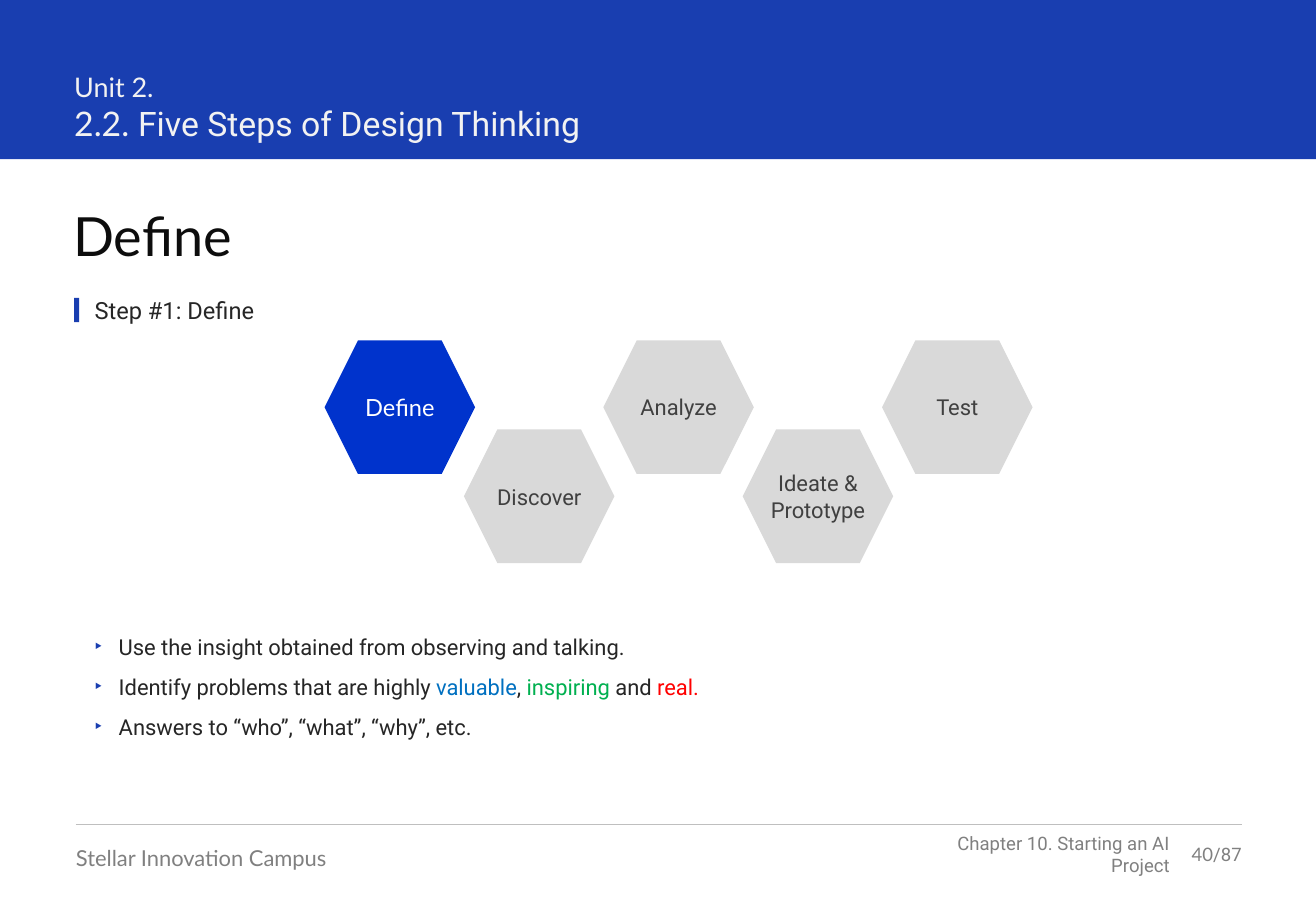
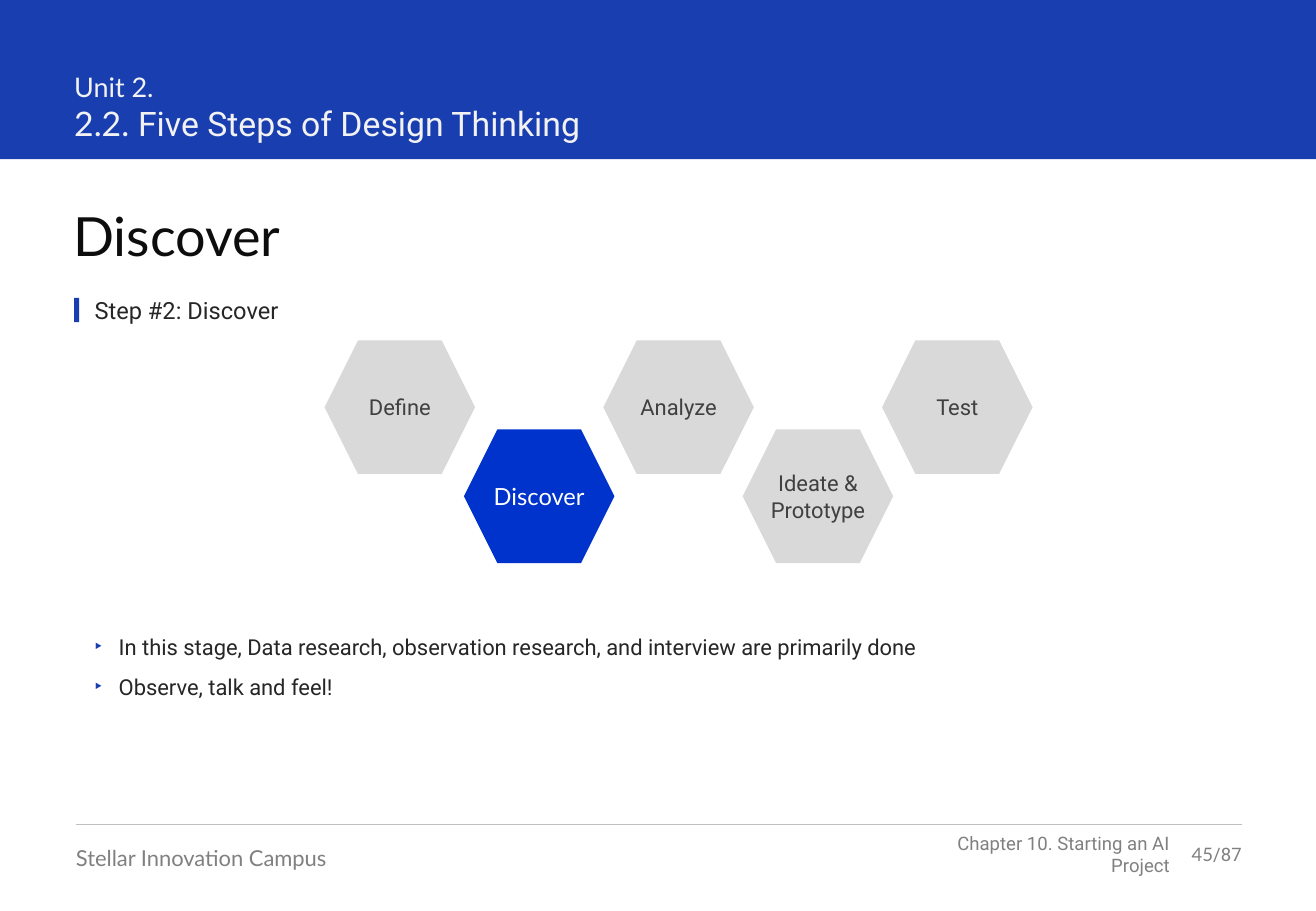
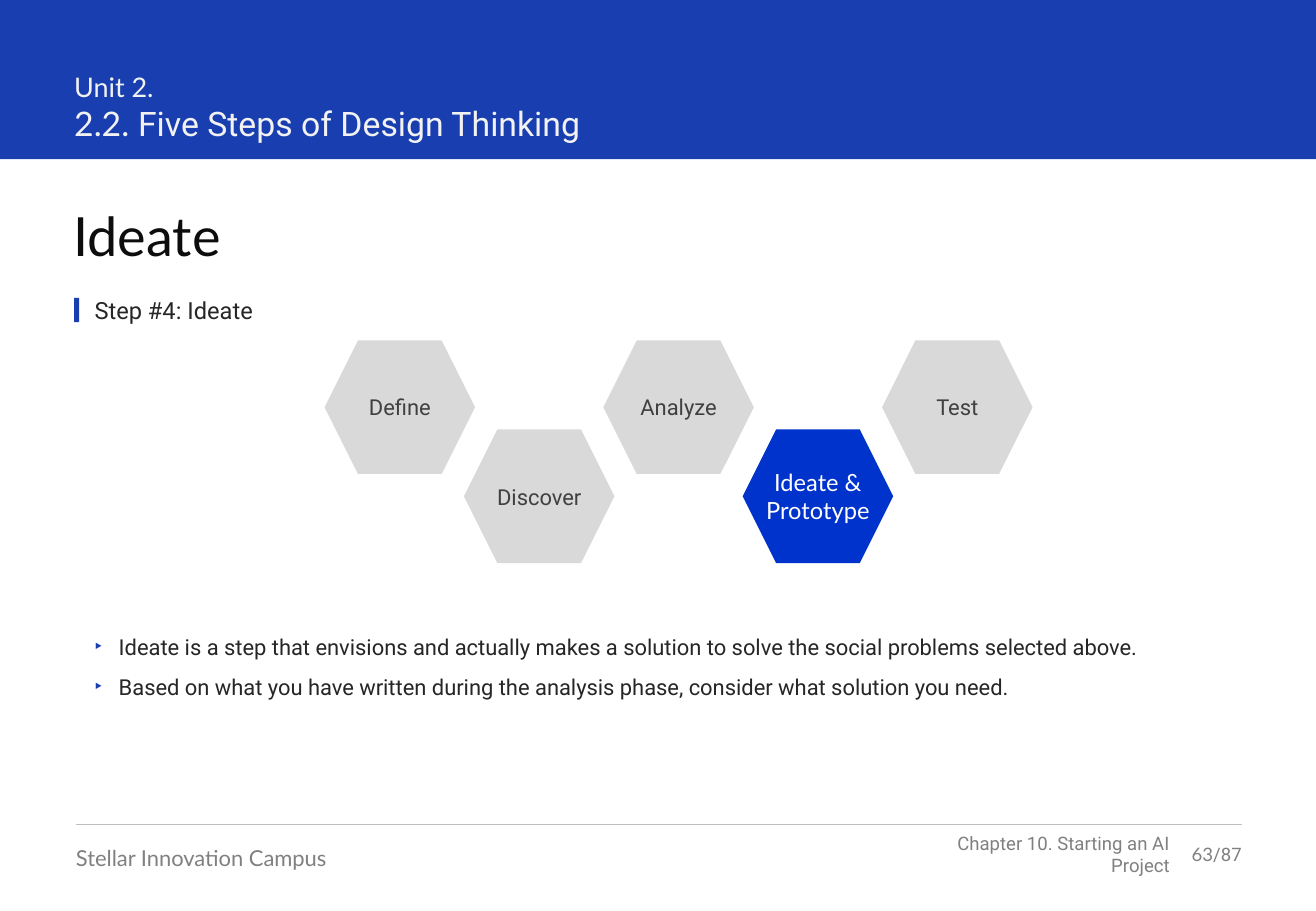
"""Build three slides on the steps of design thinking."""
import dataclasses
import typing

import lxml.etree
import pptx
import pptx.dml.color
import pptx.enum.shapes
import pptx.enum.text
import pptx.oxml.ns
import pptx.util

Pt = pptx.util.Pt
Shape = pptx.enum.shapes.MSO_SHAPE
Align = pptx.enum.text.PP_ALIGN
Anchor = pptx.enum.text.MSO_ANCHOR
qn = pptx.oxml.ns.qn


class Style(typing.NamedTuple):
    font: str
    size: int
    colour: str


@dataclasses.dataclass(frozen=True)
class Theme:
    band: str = "193EB0"
    active: str = "0033CC"
    idle: str = "D9D9D9"
    rule: str = "BFBFBF"
    unit: Style = Style("Lato", 16, "F2F2F2")
    section_number: Style = Style("Lato", 20, "F2F2F2")
    section: Style = Style("Roboto", 20, "F2F2F2")
    title: Style = Style("Lato", 32, "0D0D0D")
    subtitle: Style = Style("Roboto", 14, "262626")
    body: Style = Style("Roboto", 13, "262626")
    valuable: Style = Style("Roboto", 13, "0070C0")
    inspiring: Style = Style("Roboto", 13, "00B050")
    real: Style = Style("Roboto", 13, "FF0000")
    active_label: Style = Style("Lato", 14, "FFFFFF")
    idle_label: Style = Style("Roboto", 13, "404040")
    campus: Style = Style("Lato", 13, "808080")
    page_number: Style = Style("Lato", 11, "808080")
    footer: Style = Style("Roboto", 11, "808080")


THEME = Theme()
WIDTH, HEIGHT = 780, 540
STEPS = ["Define", "Discover", "Analyze", "Ideate & Prototype", "Test"]
SLIDES = [
    (40, "Define", 1, "Define", [
        [("Use the insight obtained from observing and talking.", THEME.body)],
        [("Identify problems that are highly ", THEME.body), ("valuable", THEME.valuable),
         (", ", THEME.body), ("inspiring", THEME.inspiring),
         (" and ", THEME.body), ("real.", THEME.real)],
        [("Answers to “who”, “what”, “why”, etc.", THEME.body)],
    ]),
    (45, "Discover", 2, "Discover", [
        [("In this stage, Data research, observation research, and interview are primarily done",
          THEME.body)],
        [("Observe, talk and feel!", THEME.body)],
    ]),
    (63, "Ideate", 4, "Ideate & Prototype", [
        [("Ideate is a step that envisions and actually makes a solution to solve "
          "the social problems selected above.", THEME.body)],
        [("Based on what you have written during the analysis phase, "
          "consider what solution you need.", THEME.body)],
    ]),
]


class Builder:
    def __init__(self, theme):
        self.theme = theme
        self.deck = pptx.Presentation()
        self.deck.slide_width, self.deck.slide_height = Pt(WIDTH), Pt(HEIGHT)
        self.page = None

    def colour(self, value):
        return pptx.dml.color.RGBColor.from_string(value)

    def shape(self, kind, left, top, width, height, fill):
        shape = self.page.shapes.add_shape(kind, Pt(left), Pt(top), Pt(width), Pt(height))
        shape.shadow.inherit = False
        shape.fill.solid()
        shape.fill.fore_color.rgb = self.colour(fill)
        shape.line.fill.background()

    def rule(self, left, right, top):
        line = self.page.shapes.add_connector(
            pptx.enum.shapes.MSO_CONNECTOR.STRAIGHT, Pt(left), Pt(top), Pt(right), Pt(top))
        line.line.color.rgb = self.colour(self.theme.rule)
        line.line.width = Pt(0.5)
        lxml.etree.SubElement(line._element.spPr, qn("a:effectLst"))

    def text(self, left, top, width, height, paragraphs, align=Align.LEFT,
             anchor=Anchor.TOP, bullets=False):
        box = self.page.shapes.add_textbox(Pt(left), Pt(top), Pt(width), Pt(height))
        frame = box.text_frame
        frame.word_wrap = True
        frame.vertical_anchor = anchor
        frame.margin_left = frame.margin_right = frame.margin_top = frame.margin_bottom = 0
        for index, spans in enumerate(paragraphs):
            para = frame.add_paragraph() if index else frame.paragraphs[0]
            if bullets:
                self.bullet(para)
            para.text = spans[0][0]
            para.alignment = align
            for words, _ in spans[1:]:
                para.add_run().text = words
            for span, (_, style) in zip(para.runs, spans):
                span.font.name = style.font
                span.font.size = Pt(style.size)
                span.font.color.rgb = self.colour(style.colour)

    def bullet(self, para):
        properties = para._p.get_or_add_pPr()
        properties.set("marL", str(Pt(14.4)))
        properties.set("indent", str(-Pt(14.4)))
        tint = lxml.etree.SubElement(properties, qn("a:buClr"))
        lxml.etree.SubElement(tint, qn("a:srgbClr"), val=self.theme.band)
        lxml.etree.SubElement(properties, qn("a:buFont"), typeface="Arial")
        lxml.etree.SubElement(properties, qn("a:buChar"), char="‣")
        para.space_after = Pt(8)

    def frame(self, number):
        theme = self.theme
        self.page = self.deck.slides.add_slide(self.deck.slide_layouts[6])
        self.shape(Shape.RECTANGLE, 0, 0, WIDTH, 94.3, theme.band)
        self.text(44, 41.8, 458, 44, [
            [("Unit 2.", theme.unit)],
            [("2.2. ", theme.section_number),
             ("Five Steps of Design Thinking", theme.section)]])
        self.rule(45, 736, 488.7)
        self.text(45, 500.4, 228, 16, [[("Stellar Innovation Campus", theme.campus)]])
        self.text(535.4, 492.5, 158, 28,
                  [[("Chapter 10. Starting an AI Project", theme.footer)]],
                  Align.RIGHT, Anchor.MIDDLE)
        self.text(693.4, 499.7, 42.6, 13.6,
                  [[(str(number), theme.page_number), ("/87", theme.footer)]],
                  Align.RIGHT, Anchor.MIDDLE)

    def heading(self, title, step):
        self.text(43.4, 120.2, 692.6, 39, [[(title, self.theme.title)]])
        self.shape(Shape.RECTANGLE, 44, 176.6, 3, 14.4, self.theme.band)
        self.text(56, 175.7, 680, 17, [[(f"Step #{step}: {title}", self.theme.subtitle)]])

    def steps(self, active):
        width, height, label_width = 89.2, 79.2, 83
        for index, name in enumerate(STEPS):
            left, top = 192.4 + 82.6 * index, 201.8 + 52.8 * (index % 2)
            fill, style = ((self.theme.active, self.theme.active_label) if name == active
                           else (self.theme.idle, self.theme.idle_label))
            self.shape(Shape.HEXAGON, left, top, width, height, fill)
            self.text(left + (width - label_width) / 2, top, label_width, height,
                      [[(name, style)]], Align.CENTER, Anchor.MIDDLE)

    def points(self, paragraphs):
        self.text(56, 375.8, 668, 64, paragraphs, bullets=True)


def main():
    builder = Builder(THEME)
    for number, title, step, active, points in SLIDES:
        builder.frame(number)
        builder.heading(title, step)
        builder.steps(active)
        builder.points(points)
    builder.deck.save("out.pptx")


if __name__ == "__main__":
    main()
